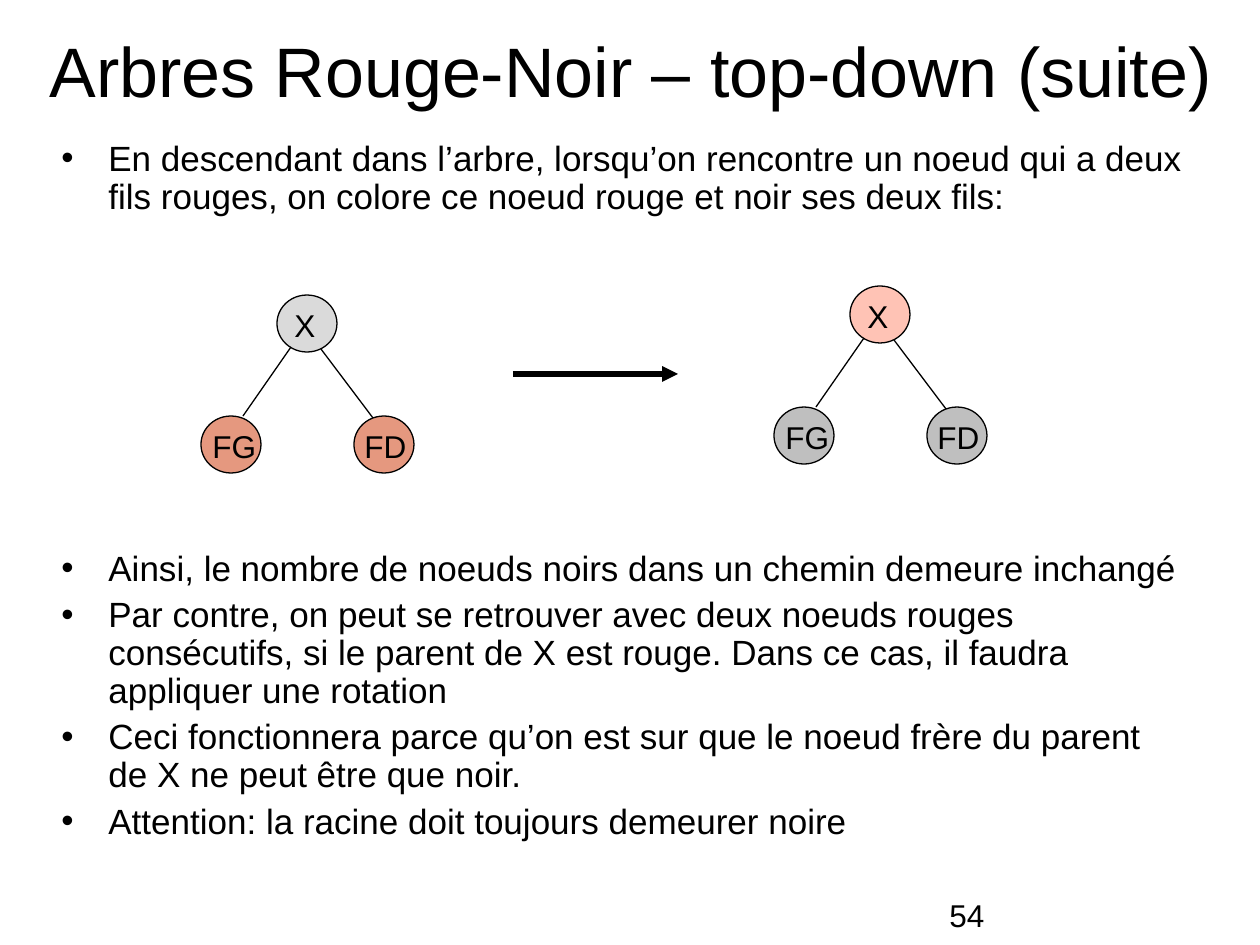
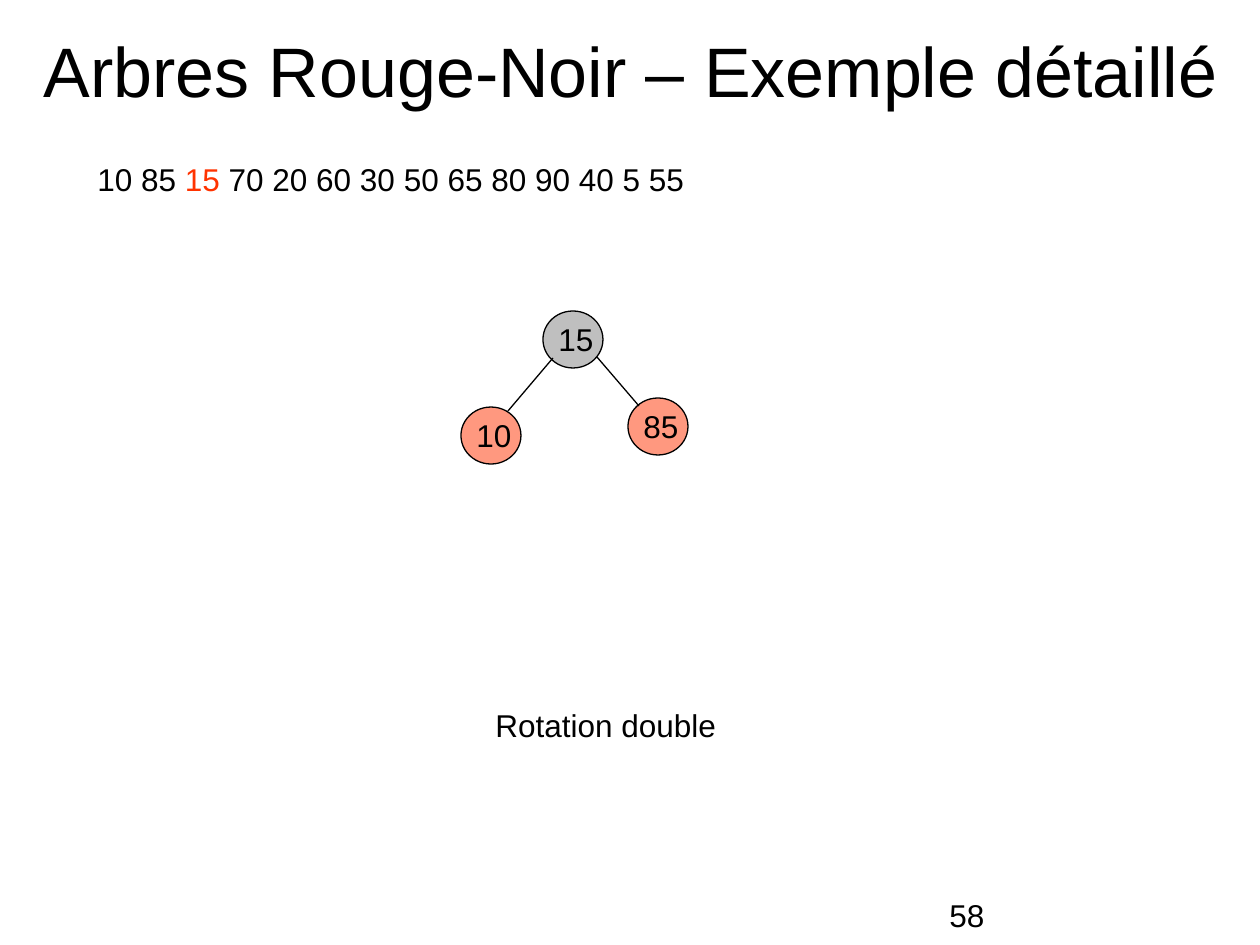
import pptx
import pptx.util
import pptx.dml.color
import pptx.enum.shapes
import pptx.enum.text
import pptx.oxml.ns
import lxml.etree

# Content: lengths in px, 126 px to the inch
SIZE = (1260, 945)
LEAD = ("En descendant dans l’arbre, lorsqu’on rencontre un noeud qui a deux "
        "fils rouges, on colore ce noeud rouge et noir ses deux fils:")
RULES = [
    "Ainsi, le nombre de noeuds noirs dans un chemin demeure inchangé",
    "Par contre, on peut se retrouver avec deux noeuds rouges consécutifs, "
    "si le parent de X est rouge. Dans ce cas, il faudra appliquer une rotation",
    "Ceci fonctionnera parce qu’on est sur que le noeud frère du parent "
    "de X ne peut être que noir.",
    "Attention: la racine doit toujours demeurer noire",
]
KEYS = [("10 85", "ink"), (" 15", "red"),
        (" 70 20 60 30 50 65 80 90 40 5 55", "ink")]

# Trees: nodes are (label, fill, x, y) and edges (x1, y1, x2, y2), from the root
SPLIT = [(44, 54, 96, 123), (14, 52, -34, 121)]
SIDES = [(0, 0), (-76, 121), (77, 121)]


def family(fills):
    return [(name, fill, x, y)
            for name, fill, (x, y) in zip(("X", "FG", "FD"), fills, SIDES)]


FLIPS = [
    ((277, 295), family(("pale", "rust", "rust")), SPLIT),
    ((850, 286), family(("pink", "grey", "grey")), SPLIT),
]
DEMO = ((543, 311),
        [("15", "grey", 0, 0), ("85", "coral", 85, 87), ("10", "coral", -82, 96)],
        [(54, 46, 96, 95), (10, 47, -35, 100)])
# Label box within its node: left, top, width
LABELS = {"X": (5, 5, 45), "FG": (-1, 5, 72), "FD": (-2, 5, 70)}
DIGITS = (3, 3, 60)

THEME = {
    "font": "Arial", "head": 40, "body": 20, "note": 18,
    "ink": "000000", "red": "FF3300", "thin": 0.75, "bold": 3,
    "node": (60, 57), "row": 50,
    # Node fills: colour and opacity in percent
    "pale": ("808080", 29), "grey": ("808080", 50), "rust": ("CC3300", 50),
    "pink": ("FF3300", 29), "coral": ("FF3300", 50),
}
KIND = pptx.enum.shapes
TEXT = pptx.enum.text
MID, HEAD = TEXT.MSO_ANCHOR.MIDDLE, TEXT.PP_ALIGN.CENTER
# Frame formats: a label grows with its text, a block keeps its size
GROW = {"word_wrap": False, "auto_size": TEXT.MSO_AUTO_SIZE.SHAPE_TO_FIT_TEXT}
BLOCK = {"word_wrap": True, "auto_size": TEXT.MSO_AUTO_SIZE.NONE}


def px(*vals):
    return [pptx.util.Inches(val / 126) for val in vals]


def tint(code):
    return pptx.dml.color.RGBColor.from_string(code)


def put(thing, **vals):
    for name, val in vals.items():
        setattr(thing, name, val)


def child(node, tag, **vals):
    return lxml.etree.SubElement(node, pptx.oxml.ns.qn(tag), **vals)


# Text
def write(para, runs, size):
    for words, hue in runs:
        run = para.add_run()
        run.text = words
        put(run.font, name=THEME["font"], size=pptx.util.Pt(size))
        run.font.color.rgb = tint(THEME[hue])


def label(slide, box, text, size=THEME["note"], align=None, frame=GROW):
    area = slide.shapes.add_textbox(*px(*box)).text_frame
    put(area, **frame)
    para = area.paragraphs[0]
    para.alignment = align
    write(para, [(text, "ink")] if isinstance(text, str) else text, size)


def bullets(slide, box, items):
    area = slide.shapes.add_textbox(*px(*box)).text_frame
    put(area, **BLOCK)
    for i, (words, gap) in enumerate(items):
        para = area.add_paragraph() if i else area.paragraphs[0]
        put(para, line_spacing=0.9, space_before=pptx.util.Pt(gap))
        write(para, [(words, "ink")], THEME["body"])
        props = para._p.get_or_add_pPr()
        indent = px(47)[0]
        props.set("marL", str(indent))
        props.set("indent", str(-indent))
        child(props, "a:buFont", typeface=THEME["font"])
        child(props, "a:buChar", char="•")


# Trees
def line(slide, ends, width=THEME["thin"], arrow=False):
    edge = slide.shapes.add_connector(KIND.MSO_CONNECTOR.STRAIGHT, *px(*ends))
    edge.line.color.rgb = tint(THEME["ink"])
    edge.line.width = pptx.util.Pt(width)
    if arrow:
        child(edge.line._get_or_add_ln(), "a:tailEnd", type="triangle")
    child(edge._element.spPr, "a:effectLst")


def node(slide, name, fill, x, y):
    disc = slide.shapes.add_shape(KIND.MSO_SHAPE.OVAL, *px(x, y, *THEME["node"]))
    disc.shadow.inherit = False
    code, alpha = THEME[fill]
    disc.fill.solid()
    disc.fill.fore_color.rgb = tint(code)
    color = disc._element.spPr.find(".//" + pptx.oxml.ns.qn("a:srgbClr"))
    child(color, "a:alpha", val=str(alpha * 1000))
    disc.line.color.rgb = tint(THEME["ink"])
    disc.line.width = pptx.util.Pt(THEME["thin"])
    dx, dy, wide = LABELS.get(name, DIGITS)
    label(slide, (x + dx, y + dy, wide, THEME["row"]), name)


def tree(slide, root, nodes, edges):
    left, top = root
    for name, fill, x, y in nodes:
        node(slide, name, fill, left + x, top + y)
    for x1, y1, x2, y2 in edges:
        line(slide, (left + x1, top + y1, left + x2, top + y2))


# Slides
def start(deck, title, page):
    slide = deck.slides.add_slide(deck.slide_layouts[6])
    label(slide, (25, 15, 1211, 110), title, THEME["head"], HEAD,
          {**BLOCK, "vertical_anchor": MID})
    label(slide, (937, 890, 297, 35), page, frame=BLOCK)
    return slide


def main():
    deck = pptx.Presentation()
    wide, high = px(*SIZE)
    put(deck, slide_width=wide, slide_height=high)

    # Recolouring on the way down; the wide gap leaves room for the trees
    slide = start(deck, "Arbres Rouge-Noir – top-down (suite)", "54")
    gaps = [5, 191, 5, 5, 5]
    bullets(slide, (49, 135, 1152, 745), zip([LEAD] + RULES, gaps))
    for flip in FLIPS:
        tree(slide, *flip)
    line(slide, (513, 374, 678, 374), THEME["bold"], True)

    # Worked example
    slide = start(deck, "Arbres Rouge-Noir – Exemple détaillé", "58")
    label(slide, (85, 154, 629, THEME["row"]), KEYS)
    tree(slide, *DEMO)
    label(slide, (483, 700, 246, THEME["row"]), "Rotation double")

    deck.save("out.pptx")


if __name__ == "__main__":
    main()
